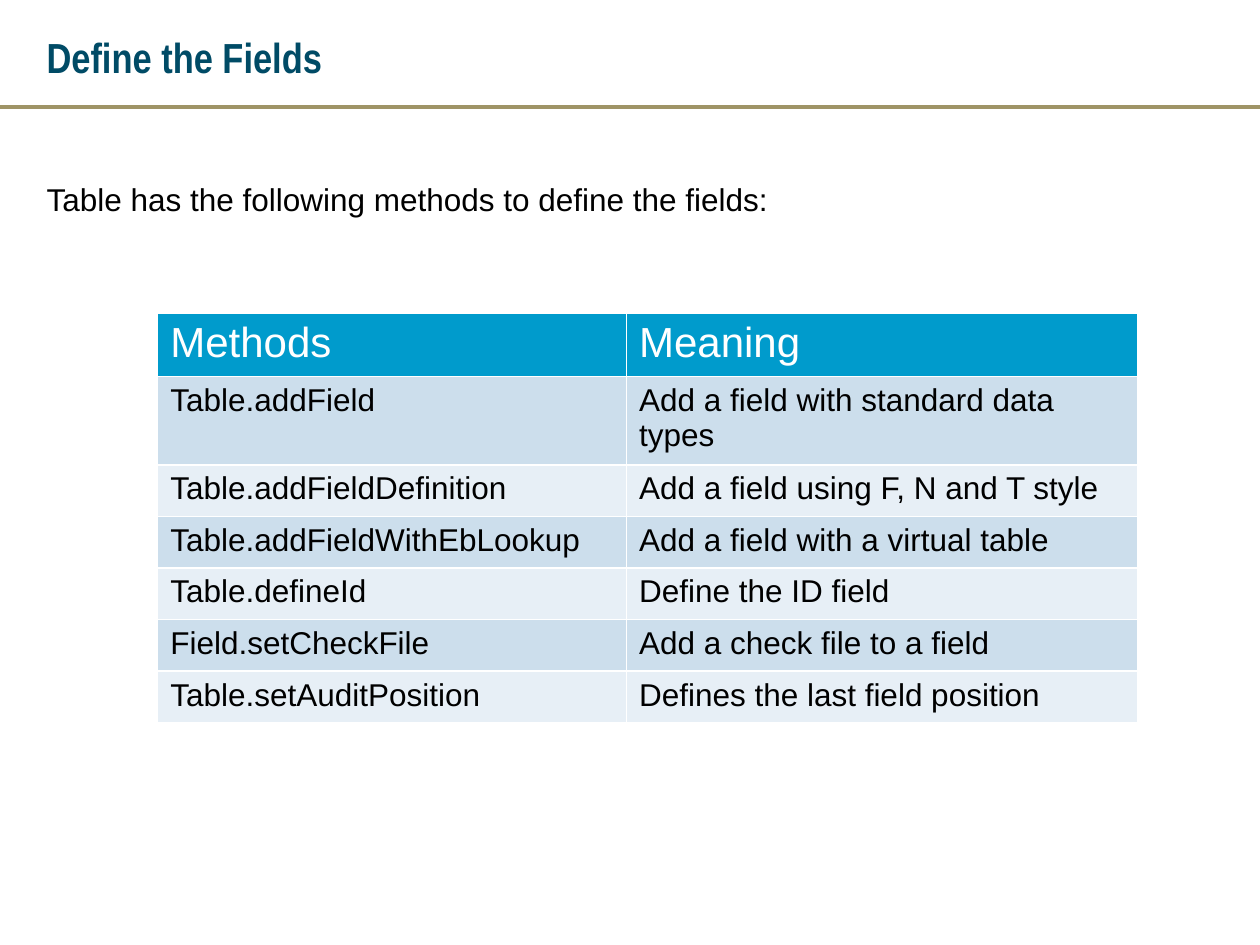
from lxml import etree
from pptx import Presentation
from pptx.dml.color import RGBColor
from pptx.enum.shapes import MSO_CONNECTOR
from pptx.enum.text import MSO_ANCHOR
from pptx.oxml.ns import qn
from pptx.util import Cm, Pt

STRAIGHT = MSO_CONNECTOR.STRAIGHT
TOP, MIDDLE = MSO_ANCHOR.TOP, MSO_ANCHOR.MIDDLE

TITLE = "Define the Fields"
INTRO = "Table has the following methods to define the fields:"
METHODS = [
    ("Methods", "Meaning"),
    ("Table.addField", "Add a field with standard data types"),
    ("Table.addFieldDefinition", "Add a field using F, N and T style"),
    ("Table.addFieldWithEbLookup", "Add a field with a virtual table"),
    ("Table.defineId", "Define the ID field"),
    ("Field.setCheckFile", "Add a check file to a field"),
    ("Table.setAuditPosition", "Defines the last field position"),
]
COLUMN_WIDTHS = (9.45, 10.31)
ROW_HEIGHT = 1.04
HEADER_FILL = "009BCC"
BAND_FILLS = ("CCDEEC", "E7EFF6")
GRID_COLOUR = "FFFFFF"

TITLE_FONT = {"name": "Arial Narrow", "size": Pt(24), "bold": True}
BODY_FONT = {"name": "Arial", "size": Pt(18), "bold": False}
HEADER_FONT = {**BODY_FONT, "size": Pt(24)}


def colour(value):
    return RGBColor.from_string(value)


def write(frame, text, font, text_colour):
    paragraph = frame.paragraphs[0]
    run = paragraph.add_run()
    run.text = text
    for attribute, value in font.items():
        setattr(run.font, attribute, value)
    run.font.color.rgb = colour(text_colour)
    return paragraph


def add_text(slide, top, height, text, font, text_colour, anchor):
    frame = slide.shapes.add_textbox(Cm(0.69), Cm(top), Cm(24.2), Cm(height)).text_frame
    frame.word_wrap = True
    frame.vertical_anchor = anchor
    return write(frame, text, font, text_colour)


def set_borders(cell):
    properties = cell._tc.get_or_add_tcPr()
    for position, side in enumerate(("lnL", "lnR", "lnT", "lnB")):
        line = etree.Element(qn(f"a:{side}"), w=str(Pt(1)))
        fill = etree.SubElement(line, qn("a:solidFill"))
        etree.SubElement(fill, qn("a:srgbClr"), val=GRID_COLOUR)
        properties.insert(position, line)


def add_methods_table(slide):
    table = slide.shapes.add_table(
        len(METHODS), len(COLUMN_WIDTHS), Cm(3.18), Cm(6.32),
        Cm(sum(COLUMN_WIDTHS)), Cm(ROW_HEIGHT * len(METHODS))).table
    for column, width in zip(table.columns, COLUMN_WIDTHS):
        column.width = Cm(width)
    for row_number, texts in enumerate(METHODS):
        if row_number == 0:
            fill, font, text_colour = HEADER_FILL, HEADER_FONT, "FFFFFF"
        else:
            fill = BAND_FILLS[(row_number - 1) % 2]
            font, text_colour = BODY_FONT, "000000"
        for column_number, text in enumerate(texts):
            cell = table.cell(row_number, column_number)
            cell.fill.solid()
            cell.fill.fore_color.rgb = colour(fill)
            set_borders(cell)
            write(cell.text_frame, text, font, text_colour)


def main():
    deck = Presentation()
    deck.slide_width, deck.slide_height = Cm(25.4), Cm(19.05)
    slide = deck.slides.add_slide(deck.slide_layouts[6])

    rule = slide.shapes.add_connector(STRAIGHT, 0, Cm(2.16), deck.slide_width, Cm(2.16))
    rule.line.color.rgb = colour("9F9466")
    rule.line.width = Pt(2)
    etree.SubElement(rule._element.spPr, qn("a:effectLst"))

    add_text(slide, 0.38, 1.52, TITLE, TITLE_FONT, "004B66", MIDDLE)
    intro = add_text(slide, 3.51, 13.51, INTRO, BODY_FONT, "000000", TOP)
    indent = Cm(0.95)
    properties = intro._p.get_or_add_pPr()
    properties.set("marL", str(indent))
    properties.set("indent", str(-indent))
    add_methods_table(slide)
    deck.save("out.pptx")


if __name__ == "__main__":
    main()
